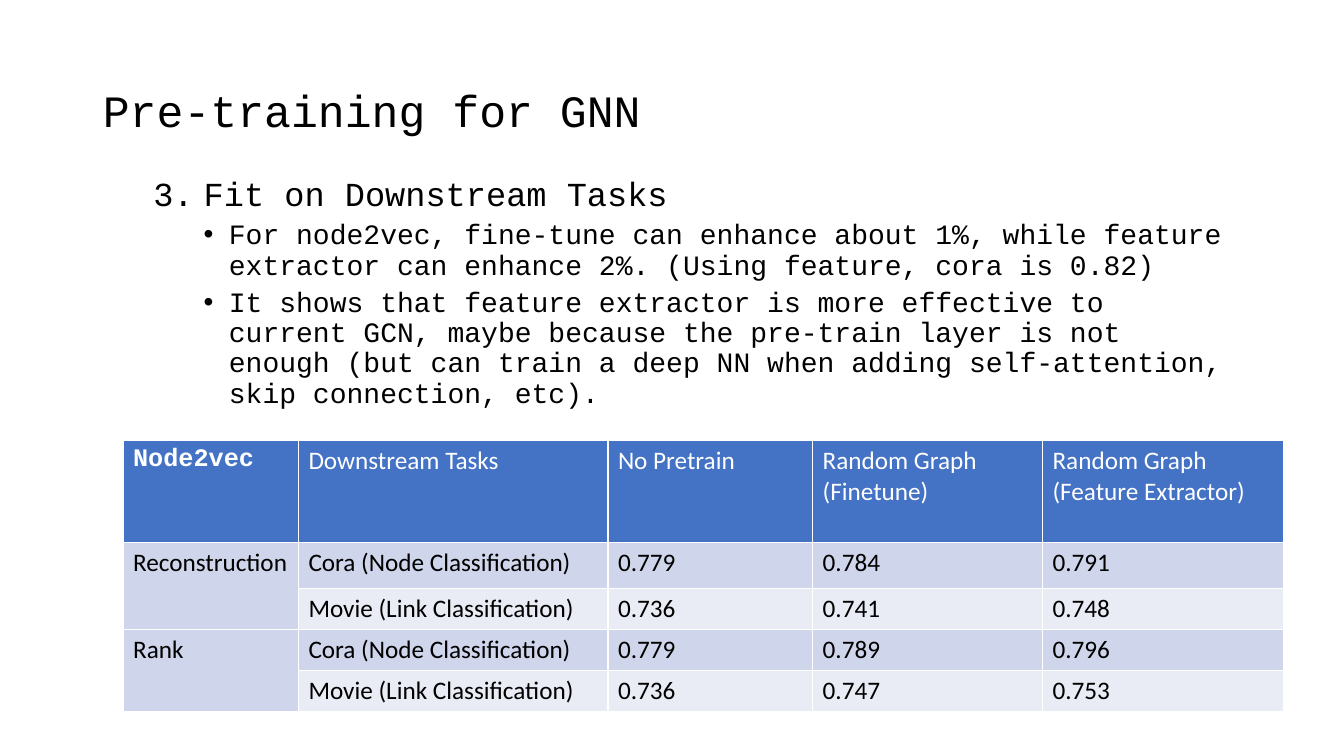
from dataclasses import dataclass

from pptx import Presentation
from pptx.dml.color import RGBColor as Rgb
from pptx.enum.text import MSO_ANCHOR as Anchor, MSO_AUTO_SIZE as Fit, PP_ALIGN as Align
from pptx.oxml.ns import qn
from pptx.util import Pt
from lxml.etree import SubElement

PX = 9144  # EMU in one px, 100 px to the inch


@dataclass(frozen=True)
class Theme:
    mono: str = "Courier New"
    sans: str = "Calibri"
    black: str = "000000"
    white: str = "FFFFFF"
    head: str = "4472C4"
    bands: tuple = ("CFD5EA", "E9EBF5")
    title: int = 32
    item: int = 24
    sub: int = 20
    cell: int = 18


THEME = Theme()

TASKS = ["Cora (Node Classification)", "Movie (Link Classification)"]
HEADS = ["Node2vec", "Downstream Tasks", "No Pretrain",
         "Random Graph\n(Finetune)", "Random Graph\n(Feature Extractor)"]
SCORES = {
    "Reconstruction": [("0.779", "0.784", "0.791"), ("0.736", "0.741", "0.748")],
    "Rank": [("0.779", "0.789", "0.796"), ("0.736", "0.747", "0.753")],
}
POINTS = [
    "For node2vec, fine-tune can enhance about 1%, while feature extractor "
    "can enhance 2%. (Using feature, cora is 0.82)",
    "It shows that feature extractor is more effective to current GCN, maybe "
    "because the pre-train layer is not enough (but can train a deep NN when "
    "adding self-attention, skip connection, etc).",
]
COLS = [174, 307, 203, 228, 239]
ROWS = [101, 46, 40, 40, 40]


def place(shape, left, top, width, height):
    shape.left, shape.top = left * PX, top * PX
    shape.width, shape.height = width * PX, height * PX


def style(para, face, size, color, bold=False):
    font = para.font
    font.name, font.size, font.bold = face, Pt(size), bold
    font.color.rgb = Rgb.from_string(color)


def mark(para, left, hang, tag, **attrs):
    """Give a paragraph a hanging indent and a bullet or number."""
    props = para._p.get_or_add_pPr()
    props.set("marL", str(left * PX))
    props.set("indent", str(-hang * PX))
    face = THEME.mono if tag == "buAutoNum" else "Arial"
    SubElement(props, qn("a:buFont"), typeface=face)
    SubElement(props, qn("a:" + tag), **attrs)


def add_title(slide, text):
    title = slide.shapes.title
    place(title, 92, 40, 1150, 145)
    frame = title.text_frame
    frame.text = text
    frame.vertical_anchor, frame.auto_size = Anchor.MIDDLE, Fit.NONE
    para = frame.paragraphs[0]
    para.alignment, para.line_spacing = Align.LEFT, 0.9
    style(para, THEME.mono, THEME.title, THEME.black)


def add_list(slide, item, points):
    body = slide.placeholders[1]
    place(body, 142, 171, 1089, 314)
    frame = body.text_frame
    frame.text = "\n".join([item, *points])
    frame.auto_size = Fit.NONE
    first, *rest = frame.paragraphs
    for para in frame.paragraphs:
        para.line_spacing, para.space_before = 0.9, Pt(5)
        style(para, THEME.mono, THEME.sub, THEME.black)
    first.space_before, first.font.size = Pt(10), Pt(THEME.item)
    mark(first, 50, 50, "buAutoNum", type="arabicPeriod", startAt="3")
    for para in rest:
        para.level = 1
        mark(para, 75, 25, "buChar", char="•")


def fill_cell(cell, text, fill, color, face=THEME.sans, bold=False):
    cell.text = text
    cell.fill.solid()
    cell.fill.fore_color.rgb = Rgb.from_string(fill)
    for para in cell.text_frame.paragraphs:
        style(para, face, THEME.cell, color, bold)


def add_scores(slide):
    frame = slide.shapes.add_table(len(ROWS), len(COLS), 122 * PX, 437 * PX,
                                   sum(COLS) * PX, sum(ROWS) * PX)
    table = frame.table
    for col, width in zip(table.columns, COLS):
        col.width = width * PX
    for row, height in zip(table.rows, ROWS):
        row.height = height * PX
    for col, text in enumerate(HEADS):
        fill_cell(table.cell(0, col), text, THEME.head, THEME.white)
    fill_cell(table.cell(0, 0), HEADS[0], THEME.head, THEME.white, THEME.mono, True)
    for group, (name, lines) in enumerate(SCORES.items()):
        top = 1 + group * len(TASKS)
        table.cell(top, 0).merge(table.cell(top + len(TASKS) - 1, 0))
        fill_cell(table.cell(top, 0), name, THEME.bands[0], THEME.black)
        for step, (task, line) in enumerate(zip(TASKS, lines)):
            for col, text in enumerate([task, *line], 1):
                fill_cell(table.cell(top + step, col), text,
                          THEME.bands[step], THEME.black)


def main():
    deck = Presentation()
    deck.slide_width, deck.slide_height = 1333 * PX, 750 * PX
    slide = deck.slides.add_slide(deck.slide_layouts[1])
    add_title(slide, "Pre-training for GNN")
    add_list(slide, "Fit on Downstream Tasks", POINTS)
    add_scores(slide)
    deck.save("out.pptx")


if __name__ == "__main__":
    main()
